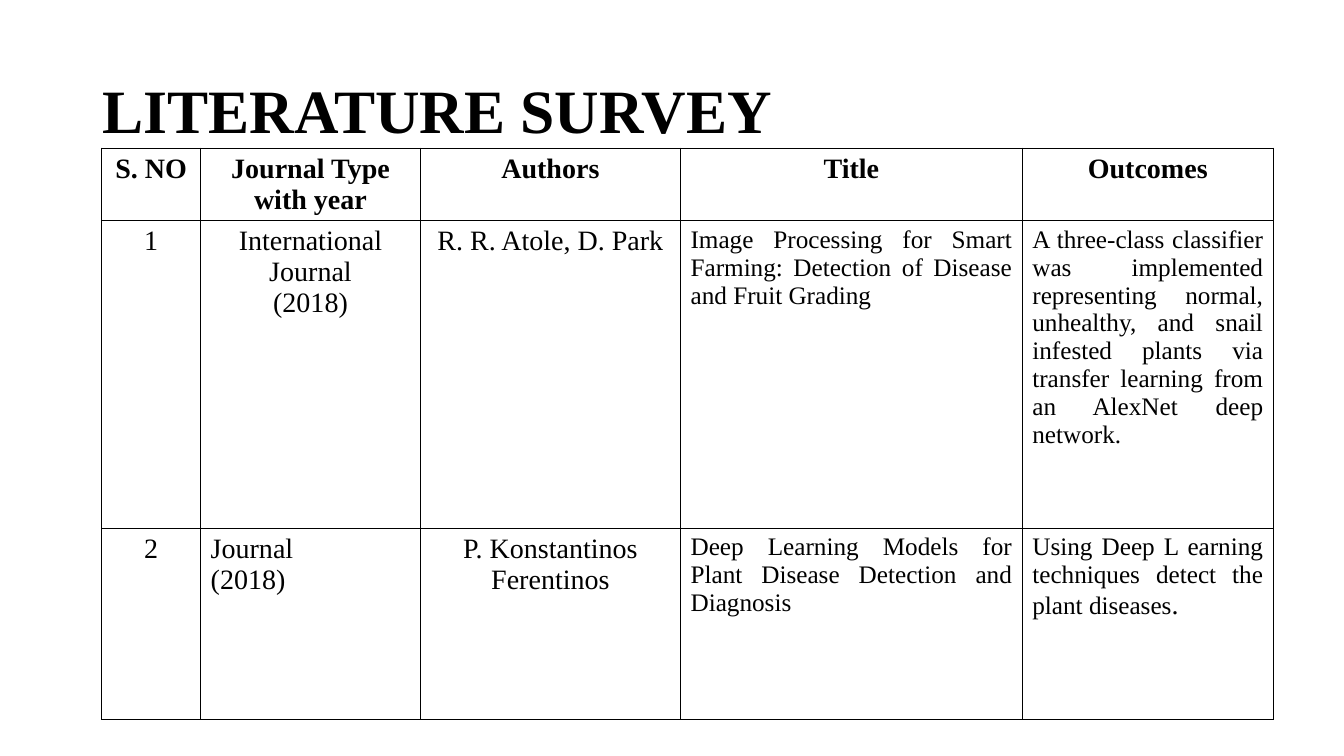
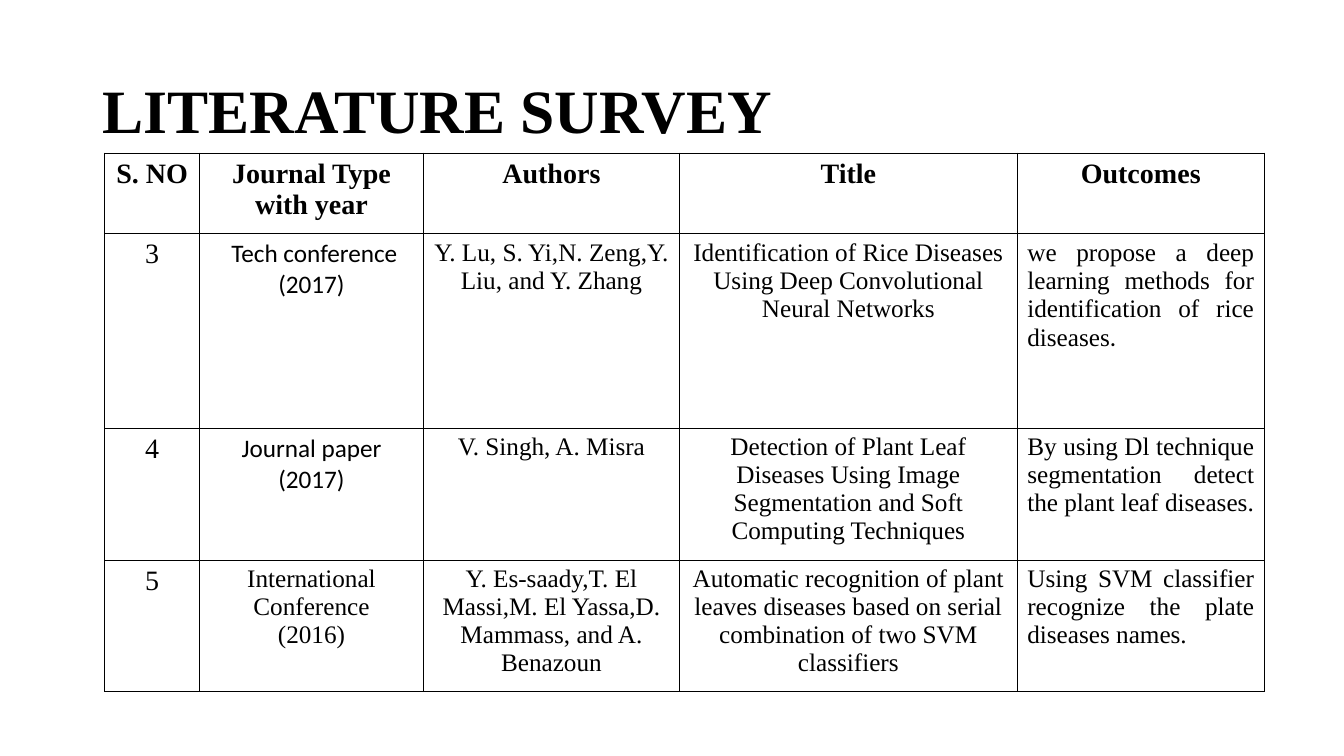
from dataclasses import dataclass

from lxml import etree
from pptx import Presentation
from pptx.dml.color import RGBColor
from pptx.enum.text import MSO_ANCHOR, PP_ALIGN
from pptx.oxml.ns import qn
from pptx.util import Pt

PX = 9144  # EMU per px, 100 px to the inch
BLACK = RGBColor(0x00, 0x00, 0x00)
SERIF = "Times New Roman"
SANS = "Calibri"
LEFT, CENTER, JUSTIFY = PP_ALIGN.LEFT, PP_ALIGN.CENTER, PP_ALIGN.JUSTIFY
MIDDLE = MSO_ANCHOR.MIDDLE
BLANK_LAYOUT = 6
LARGE, SMALL, TITLE_SIZE = 20, 18, 44
BORDER_WIDTH = Pt(1)
BORDER_SIDES = ("a:lnL", "a:lnR", "a:lnT", "a:lnB")
TITLE = "LITERATURE SURVEY"


@dataclass(frozen=True)
class Span:
    text: str
    size: int = SMALL
    font: str = SERIF
    bold: bool = False


@dataclass(frozen=True)
class Entry:
    """Cell content: one tuple of spans for each paragraph."""
    paragraphs: tuple[tuple[Span, ...], ...]
    align: PP_ALIGN = CENTER


@dataclass(frozen=True)
class Survey:
    left: int
    top: int
    widths: tuple[int, ...]
    heights: tuple[int, ...]
    rows: tuple[tuple[Entry, ...], ...]


def lines(*texts: str, size: int = SMALL, font: str = SERIF,
          bold: bool = False, align: PP_ALIGN = CENTER) -> Entry:
    return Entry(tuple((Span(text, size, font, bold),) for text in texts), align)


def large(*texts: str, align: PP_ALIGN = CENTER) -> Entry:
    return lines(*texts, size=LARGE, align=align)


def justified(text: str) -> Entry:
    return lines(text, align=JUSTIFY)


def with_stop(text: str, stop: Span) -> Entry:
    """Justified text whose full stop has its own format."""
    return Entry(((Span(text), stop),), JUSTIFY)


HEADER = tuple(
    lines(text, size=LARGE, bold=True)
    for text in ("S. NO", "Journal Type with year", "Authors", "Title", "Outcomes")
)

SURVEYS = (
    Survey(101, 147, (98, 218, 258, 339, 249), (72, 305, 190), (
        HEADER,
        (
            large("1"),
            large("International Journal", "(2018)"),
            large("R. R. Atole, D. Park"),
            justified("Image Processing for Smart Farming: Detection of Disease "
                      "and Fruit Grading"),
            justified("A three-class classifier was implemented representing normal, "
                      "unhealthy, and snail infested plants via transfer learning "
                      "from an AlexNet deep network."),
        ),
        (
            large("2"),
            large("Journal", "(2018)", align=LEFT),
            large("P. Konstantinos Ferentinos"),
            justified("Deep Learning Models for Plant Disease Detection and Diagnosis"),
            with_stop("Using Deep L earning techniques detect the plant diseases",
                      Span(".", LARGE)),
        ),
    )),
    Survey(104, 152, (94, 222, 254, 335, 245), (80, 193, 131, 130), (
        HEADER,
        (
            large("3"),
            lines(" Tech conference", "(2017)", font=SANS),
            lines("Y. Lu, S. Yi,N. Zeng,Y. Liu, and Y. Zhang"),
            lines("Identification of Rice Diseases Using Deep Convolutional "
                  "Neural Networks"),
            with_stop("we propose a deep learning methods for identification of "
                      "rice diseases", Span(".", font=SANS)),
        ),
        (
            large("4"),
            lines("Journal paper", "(2017)", font=SANS),
            lines("V. Singh, A. Misra"),
            lines("Detection of Plant Leaf Diseases Using Image Segmentation and "
                  "Soft Computing Techniques"),
            justified("By using Dl technique segmentation detect the plant leaf diseases."),
        ),
        (
            large("5"),
            lines("International Conference", "(2016)"),
            lines("Y. Es-saady,T. El Massi,M. El Yassa,D. Mammass, and A. Benazoun"),
            lines("Automatic recognition of plant leaves diseases based on serial "
                  "combination of two SVM classifiers"),
            justified("Using SVM classifier recognize the plate diseases names."),
        ),
    )),
)


def add_span(para, span: Span) -> None:
    run = para.add_run()
    run.text = span.text
    run.font.size = Pt(span.size)
    run.font.name = span.font
    run.font.bold = span.bold
    run.font.color.rgb = BLACK


def add_title(page) -> None:
    box = page.shapes.add_textbox(92 * PX, 40 * PX, 1150 * PX, 145 * PX)
    frame = box.text_frame
    frame.word_wrap = True
    frame.vertical_anchor = MIDDLE
    para = frame.paragraphs[0]
    para.line_spacing = 0.9
    add_span(para, Span(TITLE, TITLE_SIZE, bold=True))


def add_borders(cell) -> None:
    properties = cell._tc.get_or_add_tcPr()
    for side in BORDER_SIDES:
        line = etree.SubElement(properties, qn(side), w=str(BORDER_WIDTH))
        fill = etree.SubElement(line, qn("a:solidFill"))
        etree.SubElement(fill, qn("a:srgbClr"), val=str(BLACK))


def fill_cell(cell, entry: Entry) -> None:
    add_borders(cell)
    cell.fill.background()
    cell.margin_bottom = 0
    frame = cell.text_frame
    for index, spans in enumerate(entry.paragraphs):
        para = frame.add_paragraph() if index else frame.paragraphs[0]
        para.alignment = entry.align
        for span in spans:
            add_span(para, span)


def add_survey(page, survey: Survey) -> None:
    table = page.shapes.add_table(
        len(survey.heights), len(survey.widths),
        survey.left * PX, survey.top * PX,
        sum(survey.widths) * PX, sum(survey.heights) * PX,
    ).table
    table.first_row = False
    table.horz_banding = False
    for column, width in zip(table.columns, survey.widths):
        column.width = width * PX
    for row, height, entries in zip(table.rows, survey.heights, survey.rows):
        row.height = height * PX
        for cell, entry in zip(row.cells, entries):
            fill_cell(cell, entry)


def main() -> None:
    deck = Presentation()
    deck.slide_width = 1333 * PX
    deck.slide_height = 750 * PX
    for survey in SURVEYS:
        page = deck.slides.add_slide(deck.slide_layouts[BLANK_LAYOUT])
        add_title(page)
        add_survey(page, survey)
    deck.save("out.pptx")


if __name__ == "__main__":
    main()
